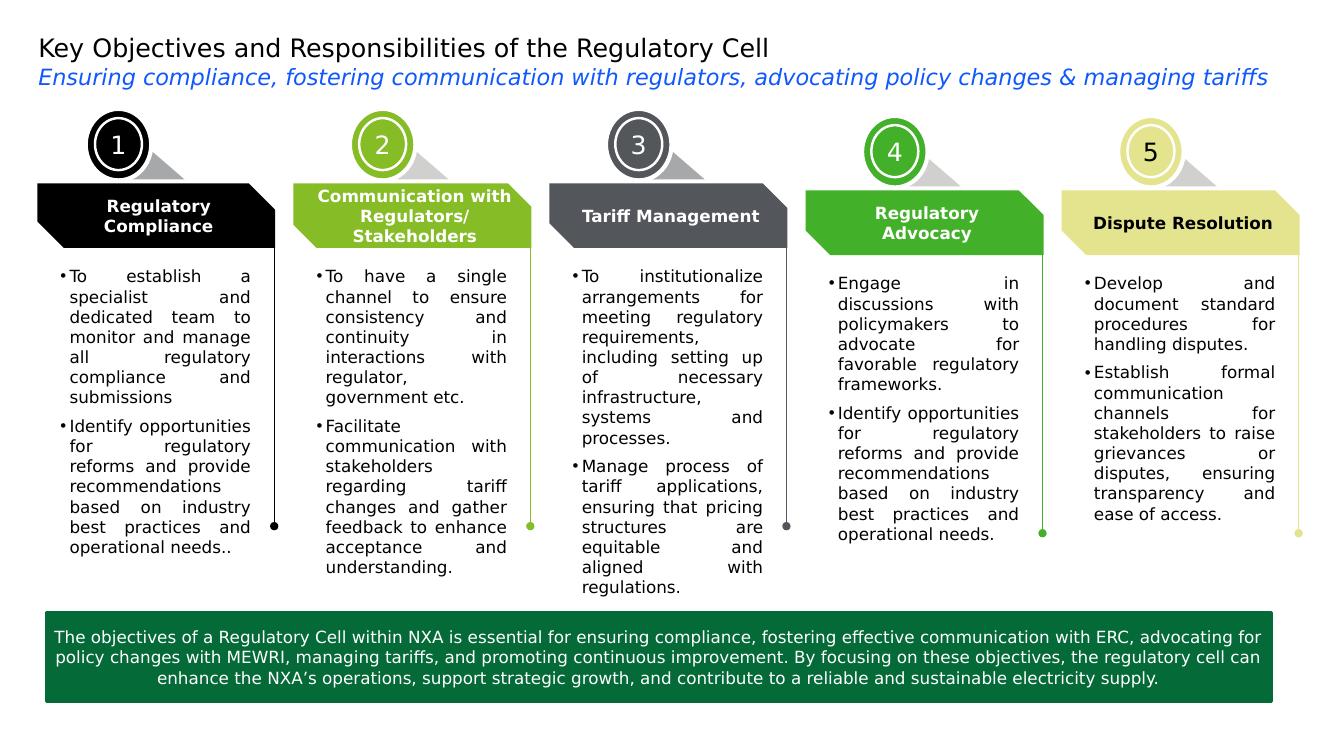
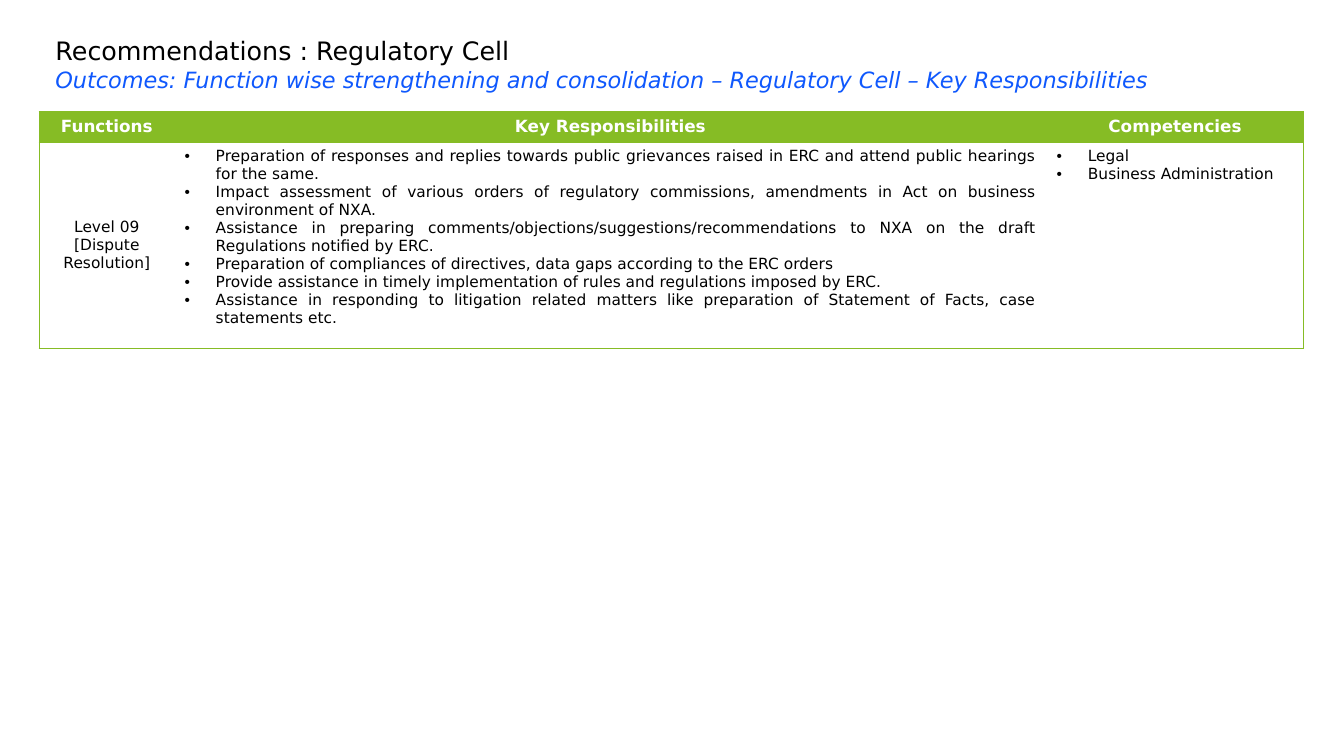
from lxml import etree
from pptx import Presentation
from pptx.dml.color import RGBColor
from pptx.enum.shapes import MSO_CONNECTOR, MSO_SHAPE
from pptx.enum.text import MSO_ANCHOR, PP_ALIGN
from pptx.oxml.ns import qn
from pptx.util import Inches, Pt

CENTER, JUSTIFY, LEFT = PP_ALIGN.CENTER, PP_ALIGN.JUSTIFY, PP_ALIGN.LEFT
TOP, MIDDLE = MSO_ANCHOR.TOP, MSO_ANCHOR.MIDDLE
RECT, OVAL, DONUT = MSO_SHAPE.RECTANGLE, MSO_SHAPE.OVAL, MSO_SHAPE.DONUT
TRIANGLE, SNIP = MSO_SHAPE.ISOSCELES_TRIANGLE, MSO_SHAPE.SNIP_2_DIAG_RECTANGLE
STRAIGHT = MSO_CONNECTOR.STRAIGHT

# Shared style
FONT = "DejaVu Sans"
BLACK, WHITE, BLUE = "000000", "FFFFFF", "0F58FD"
LIME, GREEN, FOREST = "86BC25", "43B02A", "046A38"
SLATE, GREY, SILVER, SAND = "53565A", "A7A8AA", "D0D0CE", "E3E48D"
TITLE = {"size": Pt(18.1)}
SUBTITLE = {"size": Pt(16), "italic": True, "color": BLUE}
BODY = {"size": Pt(12)}
HEADING = {"size": Pt(12), "bold": True, "color": WHITE}
CELL = {"size": Pt(11)}
NUMBER = {"size": Pt(18)}


def rgb(value):
    return RGBColor.from_string(value)


class Deck:
    """Holds the presentation, the current slide and the shared style."""

    def __init__(self):
        self.prs = Presentation()
        self.prs.slide_width, self.prs.slide_height = Inches(13.33), Inches(7.5)
        self.slide = None

    def new_slide(self, left, top, title, subtitle):
        self.slide = self.prs.slides.add_slide(self.prs.slide_layouts[6])
        tf = self.text_box(left, top, 12.24, 0.76, [title], TITLE)
        self.fill_paragraph(tf.add_paragraph(), subtitle, SUBTITLE)

    def fill_paragraph(self, p, text, fmt, align=LEFT, indent=None):
        if indent:
            pPr = p._p.get_or_add_pPr()
            pPr.set("marL", str(Inches(indent)))
            pPr.set("indent", str(-Inches(indent)))
            etree.SubElement(pPr, qn("a:buFont")).set("typeface", "Arial")
            etree.SubElement(pPr, qn("a:buChar")).set("char", "•")
        p.alignment = align
        r = p.add_run()
        r.text = text
        for key, value in {"name": FONT, "color": BLACK, **fmt}.items():
            if key == "color":
                r.font.color.rgb = rgb(value)
            else:
                setattr(r.font, key, value)

    def fill_text(self, tf, lines, fmt, align=LEFT, indent=None, gap=0):
        """Adds one paragraph per line, with gap points on each side."""
        for i, line in enumerate(lines):
            p = tf.add_paragraph() if i else tf.paragraphs[0]
            self.fill_paragraph(p, line, fmt, align, indent)
            if gap:
                p.space_after = Pt(gap)
                if i:
                    p.space_before = Pt(gap)

    def frame(self, tf, insets, anchor):
        sides = ("margin_left", "margin_top", "margin_right", "margin_bottom")
        for side, inset in zip(sides, insets):
            setattr(tf, side, Inches(inset))
        tf.word_wrap = True
        tf.vertical_anchor = anchor

    def text_box(self, x, y, w, h, lines, fmt, **layout):
        sp = self.slide.shapes.add_textbox(Inches(x), Inches(y), Inches(w), Inches(h))
        self.frame(sp.text_frame, (0, 0, 0, 0), TOP)
        self.fill_text(sp.text_frame, lines, fmt, **layout)
        return sp.text_frame

    def shape(self, kind, x, y, w, h, fill, line=None, adj=(), lines=(),
              fmt=BODY, insets=(0, 0, 0, 0)):
        sp = self.slide.shapes.add_shape(kind, Inches(x), Inches(y), Inches(w), Inches(h))
        sp.shadow.inherit = False
        for i, value in enumerate(adj):
            sp.adjustments[i] = value
        sp.fill.solid()
        sp.fill.fore_color.rgb = rgb(fill)
        if line:
            color, width = line
            sp.line.color.rgb = rgb(color)
            sp.line.width = Pt(width)
        else:
            sp.line.fill.background()
        self.frame(sp.text_frame, insets, MIDDLE)
        self.fill_text(sp.text_frame, lines, fmt, CENTER)

    def drop_line(self, x, top, bottom, color):
        """Vertical line ending in a dot."""
        cx = self.slide.shapes.add_connector(
            STRAIGHT, Inches(x), Inches(top), Inches(x), Inches(bottom))
        cx.line.color.rgb = rgb(color)
        cx.line.width = Pt(0.75)
        ln = cx._element.spPr.find(qn("a:ln"))
        etree.SubElement(ln, qn("a:tailEnd")).set("type", "oval")
        etree.SubElement(cx._element.spPr, qn("a:effectLst"))

    def border(self, cell, shown):
        tcPr = cell._tc.get_or_add_tcPr()
        for side in "LRTB":
            ln = etree.SubElement(tcPr, qn("a:ln" + side), w=str(Pt(1)))
            if side in shown:
                fill = etree.SubElement(ln, qn("a:solidFill"))
                etree.SubElement(fill, qn("a:srgbClr")).set("val", LIME)
            else:
                etree.SubElement(ln, qn("a:noFill"))

    def table(self, x, y, widths, heights, rows):
        """Each cell holds its lines and a dict of text layout."""
        table = self.slide.shapes.add_table(
            len(rows), len(widths), Inches(x), Inches(y),
            Inches(sum(widths)), Inches(sum(heights))).table
        table.horz_banding = False
        for col, width in zip(table.columns, widths):
            col.width = Inches(width)
        for i, (row, height) in enumerate(zip(rows, heights)):
            table.rows[i].height = Inches(height)
            for j, (lines, layout) in enumerate(row):
                cell = table.cell(i, j)
                edges = {0: "L", len(widths) - 1: "R"}
                self.border(cell, "TB" + edges.get(j, ""))
                cell.fill.solid()
                cell.fill.fore_color.rgb = rgb(WHITE if i else LIME)
                cell.vertical_anchor = TOP if "indent" in layout else MIDDLE
                self.fill_text(cell.text_frame, lines, CELL if i else HEADING, **layout)

    def objective(self, number, x, drop, badge_x, color, text_color, shade, snip,
                  heading, bullets):
        """One numbered column: badge, heading, bullets and drop line."""
        cx, cy = x + badge_x, 1.43 + drop
        self.shape(SNIP, x, 1.82 + drop, 2.36, 0.64, color, adj=(0, snip),
                   lines=heading, fmt={**HEADING, "color": text_color},
                   insets=(0.12, 0.07, 0.07, 0.07))
        self.text_box(x + 0.23, 2.64 + drop, 1.89, 3.3, bullets, BODY,
                      align=JUSTIFY, indent=0.09, gap=3)
        self.shape(TRIANGLE, cx - 0.08, 1.46 + drop, 0.74, 0.32, shade)
        self.shape(OVAL, cx - 0.32, cy - 0.35, 0.65, 0.71, color, line=(WHITE, 3))
        self.drop_line(x + 2.35, 2.46 + drop, 5.22 + drop, color)
        self.shape(DONUT, cx - 0.24, cy - 0.27, 0.49, 0.54, WHITE, adj=(0.05,),
                   lines=[str(number)], fmt={**NUMBER, "color": text_color})


# Slide 1: drop, badge offset, colours, corner snip, heading and bullets
OBJECTIVES = [
    (0, 0.8, BLACK, WHITE, GREY, 0.41, ["Regulatory Compliance"],
     ["To establish a specialist and dedicated team to monitor and manage all "
      "regulatory compliance and submissions",
      "Identify opportunities for regulatory reforms and provide recommendations "
      "based on industry best practices and operational needs.."]),
    (0, 0.88, LIME, WHITE, SILVER, 0.36,
     ["Communication with Regulators/", "Stakeholders"],
     ["To have a single channel to ensure consistency and continuity in "
      "interactions with regulator, government etc.",
      "Facilitate communication with stakeholders regarding tariff changes and "
      "gather feedback to enhance acceptance and understanding."]),
    (0, 0.88, SLATE, WHITE, GREY, 0.38, ["Tariff Management"],
     ["To institutionalize arrangements for meeting regulatory requirements, "
      "including setting up of necessary infrastructure, systems and processes.",
      "Manage process of tariff applications, ensuring that pricing structures "
      "are equitable and aligned with regulations."]),
    (0.07, 0.88, GREEN, WHITE, SILVER, 0.38, ["Regulatory Advocacy"],
     ["Engage in discussions with policymakers to advocate for favorable "
      "regulatory frameworks.",
      "Identify opportunities for regulatory reforms and provide recommendations "
      "based on industry best practices and operational needs."]),
    (0.07, 0.88, SAND, BLACK, SILVER, 0.38, ["Dispute Resolution"],
     ["Develop and document standard procedures for handling disputes.",
      "Establish formal communication channels for stakeholders to raise "
      "grievances or disputes, ensuring transparency and ease of access."]),
]
SUMMARY = (
    "The objectives of a Regulatory Cell within NXA is essential for ensuring "
    "compliance, fostering effective communication with ERC, advocating for policy "
    "changes with MEWRI, managing tariffs, and promoting continuous improvement. By "
    "focusing on these objectives, the regulatory cell can enhance the NXA’s "
    "operations, support strategic growth, and contribute to a reliable and "
    "sustainable electricity supply.")

# Slide 2: table rows
MIDDLE_CELL = {"align": CENTER}
RESPONSIBILITIES = [
    "Preparation of responses and replies towards public grievances raised in ERC "
    "and attend public hearings for the same.",
    "Impact assessment of various orders of regulatory commissions, amendments in "
    "Act on business environment of NXA.",
    "Assistance in preparing comments/objections/suggestions/recommendations to NXA "
    "on the draft Regulations notified by ERC.",
    "Preparation of compliances of directives, data gaps according to the ERC orders",
    "Provide assistance in timely implementation of rules and regulations imposed by ERC.",
    "Assistance in responding to litigation related matters like preparation of "
    "Statement of Facts, case statements etc.",
]
ROWS = [
    [([name], MIDDLE_CELL) for name in ("Functions", "Key Responsibilities", "Competencies")],
    [(["Level 09", "[Dispute Resolution]"], MIDDLE_CELL),
     (RESPONSIBILITIES, {"align": JUSTIFY, "indent": 0.31}),
     (["Legal", "Business Administration"], {"indent": 0.31})],
]


def main():
    deck = Deck()

    # Objectives in five columns
    deck.new_slide(0.38, 0.32, "Key Objectives and Responsibilities of the Regulatory Cell",
                   "Ensuring compliance, fostering communication with regulators, "
                   "advocating policy changes & managing tariffs")
    for i, objective in enumerate(OBJECTIVES):
        deck.objective(i + 1, 0.37 + 2.54 * i, *objective)
    deck.shape(RECT, 0.46, 6.08, 12.15, 0.88, FOREST, line=(FOREST, 2), lines=[SUMMARY],
               fmt={**BODY, "color": WHITE}, insets=(0.08, 0.08, 0.08, 0.08))

    # Responsibilities table
    deck.new_slide(0.55, 0.35, "Recommendations : Regulatory Cell",
                   "Outcomes: Function wise strengthening and consolidation – "
                   "Regulatory Cell – Key Responsibilities")
    deck.table(0.39, 1.11, (1.34, 8.65, 2.55), (0.3, 2.05), ROWS)

    deck.prs.save("out.pptx")


if __name__ == "__main__":
    main()
